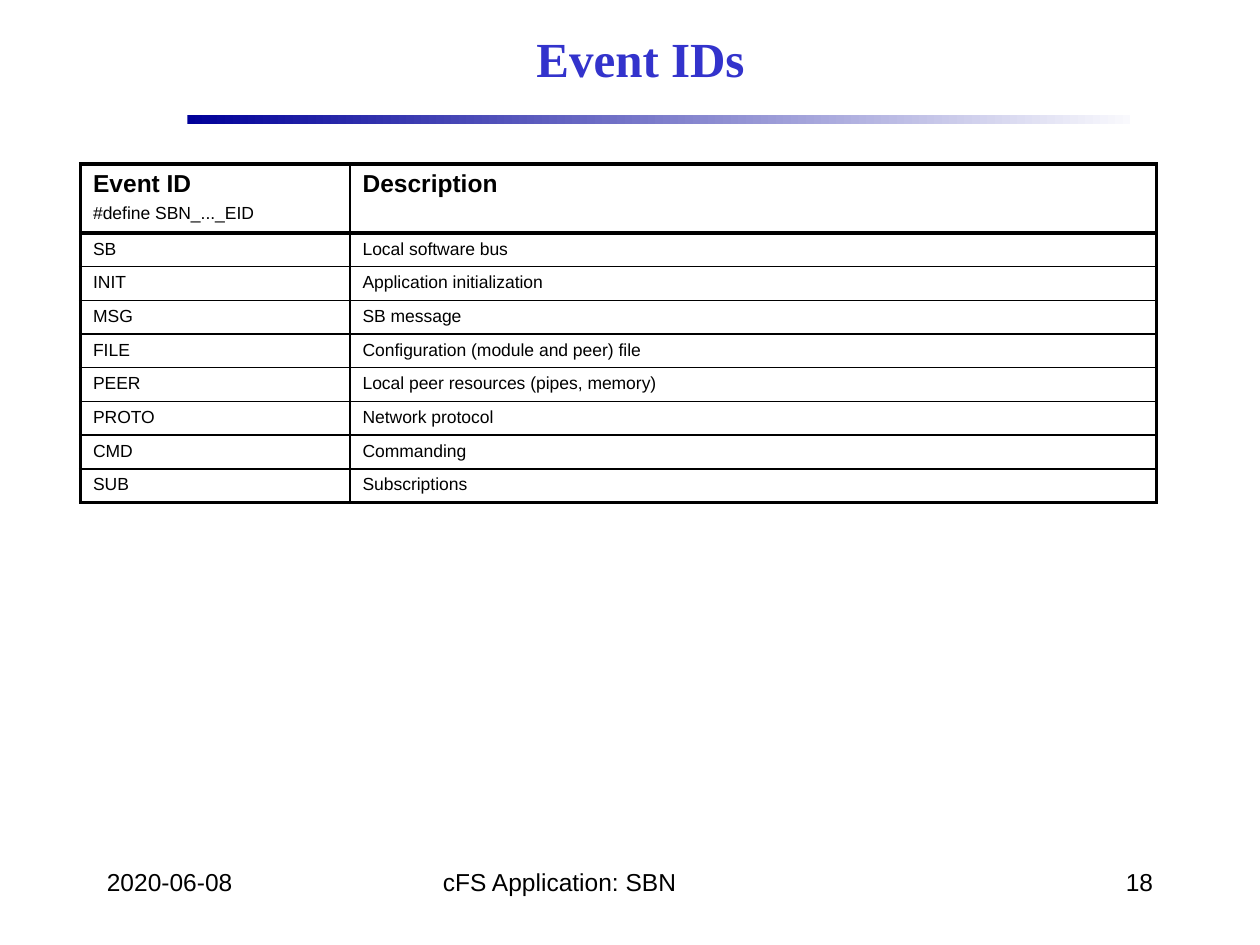
from lxml import etree
from pptx import Presentation
from pptx.dml.color import RGBColor
from pptx.enum import shapes, text
from pptx.oxml import ns
from pptx.util import Pt

BLACK = RGBColor(0x00, 0x00, 0x00)
WHITE = RGBColor(0xFF, 0xFF, 0xFF)
BLUE = RGBColor(0x33, 0x33, 0xCC)
NAVY = RGBColor(0x00, 0x00, 0x99)
PALE = RGBColor(0xF9, 0xF9, 0xFD)
THICK, THIN = Pt(2.25), Pt(1)
HEAD = [["Event ID", "#define SBN_..._EID"], ["Description"]]
EVENTS = [
    ("SB", "Local software bus"),
    ("INIT", "Application initialization"),
    ("MSG", "SB message"),
    ("FILE", "Configuration (module and peer) file"),
    ("PEER", "Local peer resources (pipes, memory)"),
    ("PROTO", "Network protocol"),
    ("CMD", "Commanding"),
    ("SUB", "Subscriptions"),
]


def style(para, size, name="Arial", color=BLACK, bold=False):
    """Set the font of a paragraph."""
    font = para.font
    font.size, font.name, font.bold = Pt(size), name, bold
    font.color.rgb = color


def add_text(slide, words, box, align=text.PP_ALIGN.LEFT, size=14, **look):
    """Add a one-line text box and return its frame."""
    frame = slide.shapes.add_textbox(*map(Pt, box)).text_frame
    frame.word_wrap = True
    para = frame.paragraphs[0]
    para.text, para.alignment = words, align
    style(para, size, **look)
    return frame


def add_bar(slide):
    """Add the fading rule under the title."""
    bar = slide.shapes.add_shape(shapes.MSO_SHAPE.RECTANGLE,
                                 Pt(107), Pt(66), Pt(539), Pt(5))
    bar.shadow.inherit = False
    bar.line.fill.background()
    bar.fill.gradient()
    bar.fill.gradient_angle = 0
    for stop, color in zip(bar.fill.gradient_stops, (NAVY, PALE)):
        stop.color.rgb = color


def add_edge(cell, side, width):
    """Draw one black border of a cell."""
    props = cell._tc.get_or_add_tcPr()
    line = etree.SubElement(props, ns.qn(f"a:ln{side}"), w=str(width))
    fill = etree.SubElement(line, ns.qn("a:solidFill"))
    etree.SubElement(fill, ns.qn("a:srgbClr"), val=str(BLACK))


def fill_cell(cell, lines, edges, head):
    """Write the lines, borders and fill of a cell."""
    cell.text_frame.text = "\n".join(lines)
    for i, para in enumerate(cell.text_frame.paragraphs):
        title = head and i == 0
        style(para, 14 if title else 10, bold=title)
        if i:
            para.space_before = Pt(3.5)
    for side, thick in edges.items():
        add_edge(cell, side, THICK if thick else THIN)
    cell.fill.solid()
    cell.fill.fore_color.rgb = WHITE


def add_events(slide):
    """Add the table of event IDs."""
    rows = [HEAD] + [[[name], [note]] for name, note in EVENTS]
    last = len(rows) - 1
    table = slide.shapes.add_table(len(rows), 2, Pt(46), Pt(93.6),
                                   Pt(615), Pt(192)).table
    table.first_row = table.horz_banding = False
    for col, width in zip(table.columns, (154, 461)):
        col.width = Pt(width)
    for r, row in enumerate(rows):
        table.rows[r].height = Pt(19.2 if r else 38.4)
        for c, lines in enumerate(row):
            edges = {"L": c == 0, "R": c == 1,
                     "T": r < 2, "B": r in (0, last)}
            fill_cell(table.cell(r, c), lines, edges, r == 0)


def main():
    """Build and save the slide."""
    deck = Presentation()
    deck.slide_width, deck.slide_height = Pt(720), Pt(540)
    slide = deck.slides.add_slide(deck.slide_layouts[6])
    add_bar(slide)
    title = add_text(slide, "Event IDs", (108, 6, 516, 54),
                     text.PP_ALIGN.CENTER, 28,
                     name="Times New Roman", color=BLUE, bold=True)
    title.vertical_anchor = text.MSO_ANCHOR.MIDDLE
    add_events(slide)
    add_text(slide, "2020-06-08", (54, 492, 150, 36))
    add_text(slide, "cFS Application: SBN", (246, 492, 228, 36))
    add_text(slide, "18", (516, 492, 150, 36), text.PP_ALIGN.RIGHT)
    deck.save("out.pptx")


if __name__ == "__main__":
    main()
